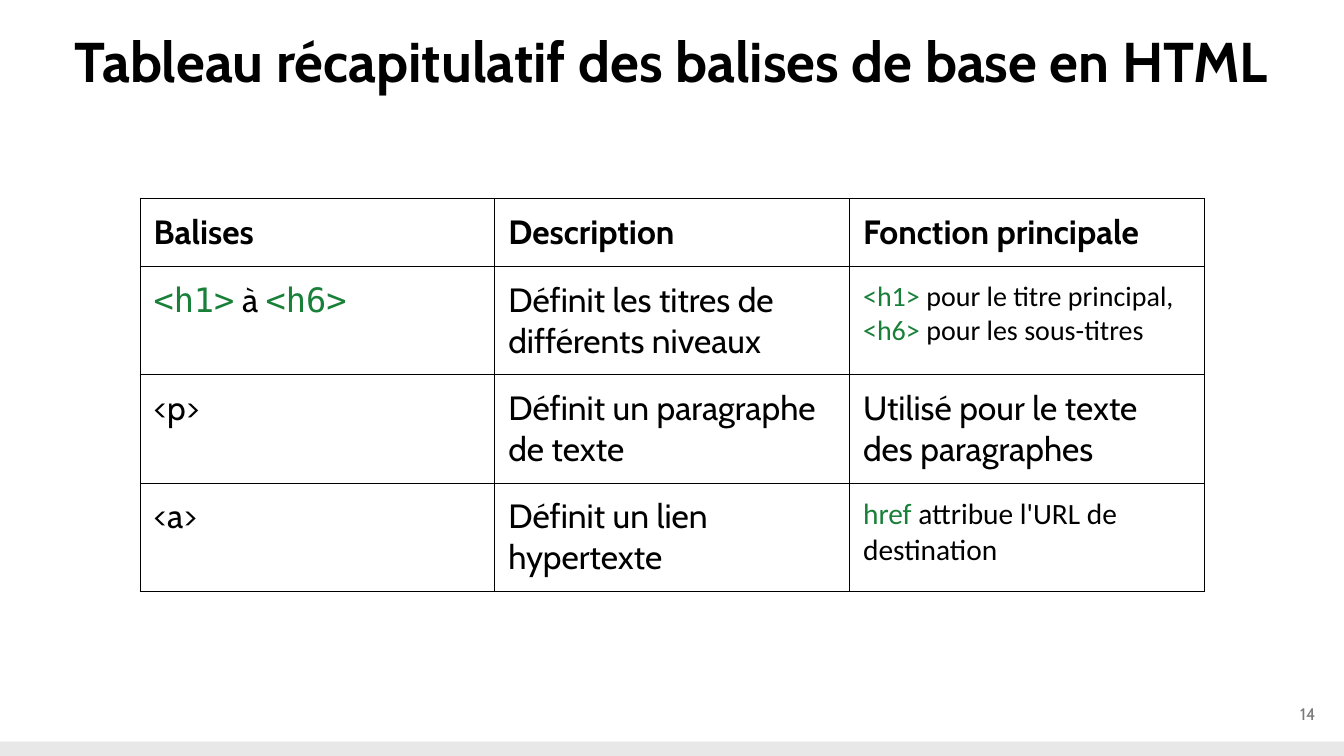
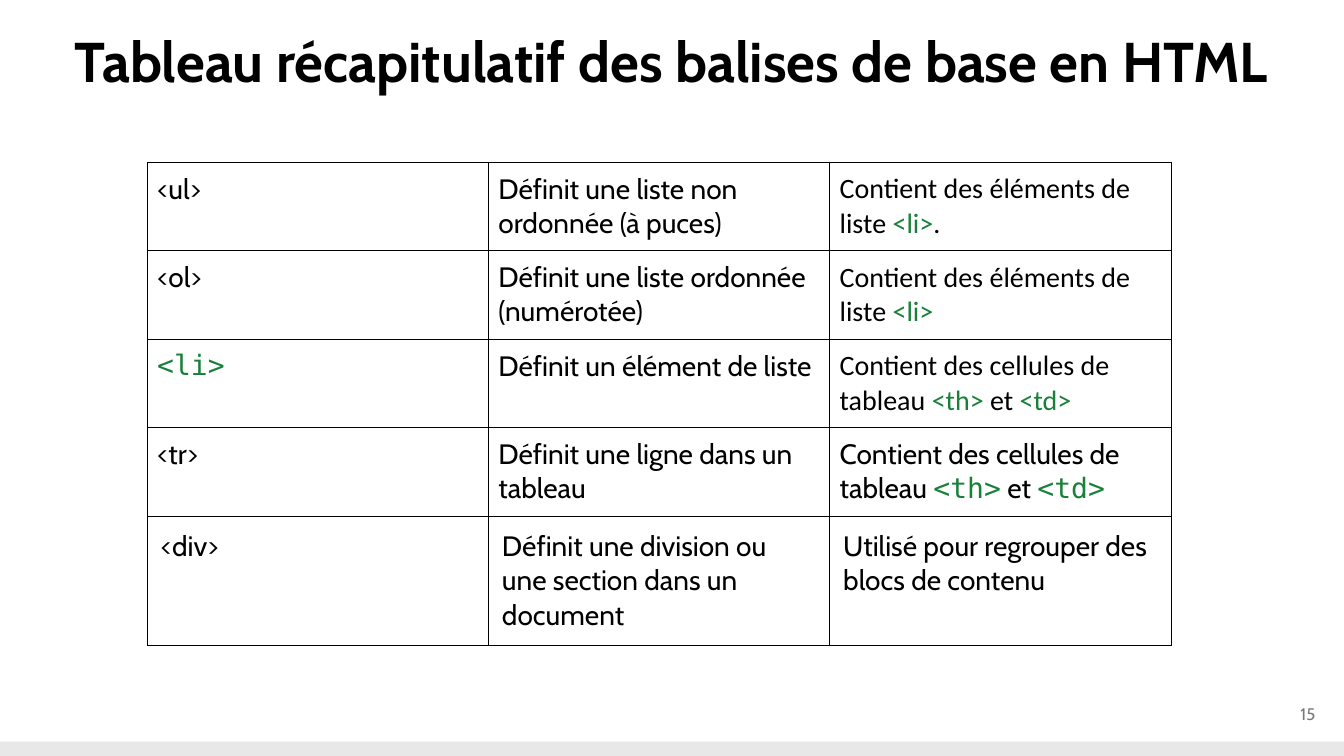
from lxml.etree import SubElement
from pptx import Presentation
from pptx.dml.color import RGBColor
from pptx.enum.shapes import MSO_SHAPE as Shape
from pptx.enum.text import MSO_ANCHOR as Anchor, PP_ALIGN as Align
from pptx.oxml.ns import qn
from pptx.util import Cm, Pt

# Shared look
BLACK, GREEN, GREY, BAND = "000000", "188038", "797979", "E8E8E8"
TEXT_FONT, NOTE_FONT, CODE_FONT = "Cabin", "Calibri", "DejaVu Sans Mono"
TITLE = "Tableau récapitulatif des balises de base en HTML"
WIDE, NARROW = 0.34, 0.25  # text margins


def style(font, name, size, color, bold=False):
    font.name, font.size, font.bold = name, Pt(size), bold
    font.color.rgb = RGBColor.from_string(color)


def add_text(page, text, place, margin, anchor, align, *look):
    box = page.shapes.add_textbox(*map(Cm, place))
    frame = box.text_frame
    frame.word_wrap = True
    frame.vertical_anchor = anchor
    frame.margin_left = frame.margin_right = Cm(margin)
    frame.margin_top = frame.margin_bottom = Cm(margin)
    para = frame.paragraphs[0]
    para.text, para.alignment = text, align
    style(para.font, *look)
    return para


# Tables: backticks enclose code; a (text, size) pair is set in the note font
pages = [
    dict(
        number=14, left=3.53, top=5, column=8.94, size=24, header=True,
        heights=[1.71, 2.73, 2.73, 2.73], margins=[WIDE] * 4,
        rows=[
            ["Balises", "Description", "Fonction principale"],
            ["`<h1>` à `<h6>`", "Définit les titres de différents niveaux",
             ("`<h1>` pour le titre principal, `<h6>` pour les sous-titres", 20)],
            ["<p>", "Définit un paragraphe de texte",
             "Utilisé pour le texte des paragraphes"],
            ["<a>", "Définit un lien hypertexte",
             ("`href` attribue l'URL de destination", 21)],
        ],
    ),
    dict(
        number=15, left=3.71, top=4.09, column=8.6, size=20, header=False,
        heights=[2.23] * 4 + [3.26], margins=[NARROW] * 4 + [WIDE],
        rows=[
            ["<ul>", "Définit une liste non ordonnée (à puces)",
             ("Contient des éléments de liste `<li>`.", 20)],
            ["<ol>", "Définit une liste ordonnée (numérotée)",
             ("Contient des éléments de liste `<li>`", 20)],
            ["`<li>`", "Définit un élément de liste",
             ("Contient des cellules de tableau `<th>` et `<td>`", 20)],
            ["<tr>", "Définit une ligne dans un tableau",
             "Contient des cellules de tableau `<th>` et `<td>`"],
            ["<div>", "Définit une division ou une section dans un document",
             "Utilisé pour regrouper des blocs de contenu"],
        ],
    ),
]

deck = Presentation()
deck.slide_width, deck.slide_height = Cm(33.87), Cm(19.05)

for content in pages:
    page = deck.slides.add_slide(deck.slide_layouts[6])

    # Bottom band, title and page number
    band = page.shapes.add_shape(Shape.RECTANGLE, 0, Cm(18.69), Cm(33.87), Cm(0.36))
    band.shadow.inherit = False
    band.fill.solid()
    band.fill.fore_color.rgb = RGBColor.from_string(BAND)
    band.line.fill.background()
    title = add_text(page, TITLE, (1.14, 0.53, 31.55, 2.03), WIDE,
                     Anchor.TOP, Align.CENTER, TEXT_FONT, 40, BLACK, True)
    title.line_spacing = 0.9
    add_text(page, str(content["number"]), (31.37, 17.27, 2.03, 1.45), NARROW,
             Anchor.MIDDLE, Align.RIGHT, TEXT_FONT, 12, GREY)

    # Table grid
    rows, heights = content["rows"], content["heights"]
    table = page.shapes.add_table(
        len(rows), 3, Cm(content["left"]), Cm(content["top"]),
        Cm(3 * content["column"]), Cm(sum(heights))).table
    table.first_row = content["header"]
    table.horz_banding = False
    for column in table.columns:
        column.width = Cm(content["column"])

    for index, (texts, height, margin) in enumerate(zip(rows, heights, content["margins"])):
        table.rows[index].height = Cm(height)
        bold = content["header"] and index == 0
        for cell, text in zip(table.rows[index].cells, texts):
            # Cell frame
            cell.margin_left = cell.margin_right = Cm(margin)
            cell.margin_top = cell.margin_bottom = Cm(margin)
            properties = cell._tc.get_or_add_tcPr()
            for side in ("lnL", "lnR", "lnT", "lnB"):
                line = SubElement(properties, qn(f"a:{side}"), w=str(Pt(0.75)))
                fill = SubElement(line, qn("a:solidFill"))
                SubElement(fill, qn("a:srgbClr"), val=BLACK)
            cell.fill.background()

            # Cell text, every second piece being code
            name, code_name, size = TEXT_FONT, CODE_FONT, content["size"]
            if isinstance(text, tuple):
                text, size = text
                name = code_name = NOTE_FONT
            para = cell.text_frame.paragraphs[0]
            style(para.font, name, size, BLACK, bold)
            for place, piece in enumerate(text.split("`")):
                if piece:
                    span = para.add_run()
                    span.text = piece
                    if place % 2:
                        style(span.font, code_name, size, GREEN)
                    else:
                        style(span.font, name, size, BLACK, bold)

deck.save("out.pptx")
